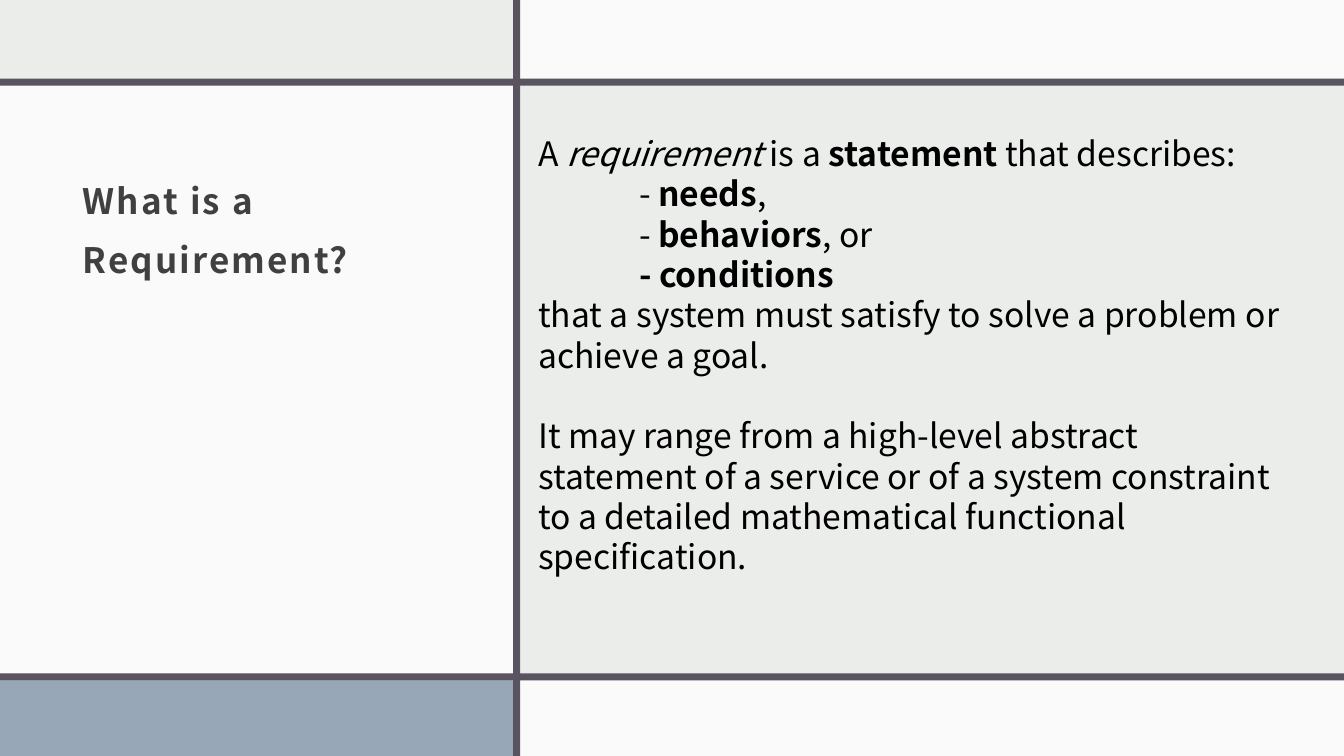
from dataclasses import dataclass

from pptx import Presentation
from pptx.dml.color import RGBColor
from pptx.enum.shapes import MSO_SHAPE
from pptx.enum.text import MSO_ANCHOR
from pptx.util import Inches, Pt

TITLE = "What is a Requirement?"

# Each paragraph: indent in inches, space before in points, runs of (text, style)
DEFINITION = [
    (0, 0, [("A ", ""), ("requirement", "italic"), (" is a ", ""),
            ("statement", "bold"), (" that describes:", "")]),
    (1, 0, [("- ", ""), ("needs", "bold"), (",", "")]),
    (1, 0, [("- ", ""), ("behaviors", "bold"), (", or", "")]),
    (1, 0, [("- conditions", "bold")]),
    (0, 0, [("that a system must satisfy to solve a problem or achieve a goal.", "")]),
    (0, 28.8, [("It may range from a high-level abstract statement of a service or of a "
                "system constraint to a detailed mathematical functional specification.", "")]),
]


@dataclass(frozen=True)
class Theme:
    font: str = "Noto Sans CJK JP"
    title_size: int = 25
    body_size: int = 24
    title_color: str = "404040"
    body_color: str = "000000"
    backdrop: str = "EBEDEB"
    pale: str = "FAFAFA"
    accent: str = "97A7B8"
    bar: str = "595460"


THEME = Theme()
WIDTH, HEIGHT = 13.33, 7.5
BAR = 0.07
COLUMN_BAR = 5.09
ROW_BARS = (0.78, 6.68)

# Panel colours, row by row; None lets the backdrop show
PANELS = [
    (None, THEME.pale),
    (THEME.pale, None),
    (THEME.accent, THEME.pale),
]


def spans(bars, total):
    """Return the (start, end) stretches left free between bars."""
    starts = [0] + [bar + BAR for bar in bars]
    return list(zip(starts, [*bars, total]))


def add_block(slide, left, top, width, height, color):
    block = slide.shapes.add_shape(
        MSO_SHAPE.RECTANGLE, Inches(left), Inches(top), Inches(width), Inches(height))
    block.shadow.inherit = False
    block.fill.solid()
    block.fill.fore_color.rgb = RGBColor.from_string(color)
    block.line.fill.background()


def add_text_frame(slide, left, top, width, height):
    frame = slide.shapes.add_textbox(
        Inches(left), Inches(top), Inches(width), Inches(height)).text_frame
    frame.word_wrap = True
    return frame


def style_font(font, size, color):
    font.name = THEME.font
    font.size = Pt(size)
    font.color.rgb = RGBColor.from_string(color)


def add_grid(slide):
    for (top, bottom), colors in zip(spans(ROW_BARS, HEIGHT), PANELS):
        for (left, right), color in zip(spans([COLUMN_BAR], WIDTH), colors):
            if color:
                add_block(slide, left, top, right - left, bottom - top, color)
    for top in ROW_BARS:
        add_block(slide, 0, top, WIDTH, BAR, THEME.bar)
    add_block(slide, COLUMN_BAR, 0, BAR, HEIGHT, THEME.bar)


def add_title(slide):
    frame = add_text_frame(slide, 0.7, 1.17, 3.95, 2.04)
    frame.vertical_anchor = MSO_ANCHOR.MIDDLE
    frame.margin_left = frame.margin_right = frame.margin_top = Inches(0.12)
    frame.margin_bottom = Inches(0.1)
    heading = frame.paragraphs[0]
    heading.text = TITLE
    heading.line_spacing = 1.4
    run = heading.runs[0]
    style_font(run.font, THEME.title_size, THEME.title_color)
    run.font.bold = True
    run.font._element.set("spc", "150")


def add_definition(slide):
    frame = add_text_frame(slide, 5.24, 1.27, 7.67, 4.54)
    for index, (indent, gap, pieces) in enumerate(DEFINITION):
        paragraph = frame.add_paragraph() if index else frame.paragraphs[0]
        properties = paragraph._p.get_or_add_pPr()
        properties.set("marL", str(Inches(indent)))
        properties.set("indent", "0")
        if gap:
            paragraph.space_before = Pt(gap)
        for words, style in pieces:
            run = paragraph.add_run()
            run.text = words
            style_font(run.font, THEME.body_size, THEME.body_color)
            run.font.bold = style == "bold"
            run.font.italic = style == "italic"


def main():
    deck = Presentation()
    deck.slide_width, deck.slide_height = Inches(WIDTH), Inches(HEIGHT)
    slide = deck.slides.add_slide(deck.slide_layouts[6])
    slide.background.fill.solid()
    slide.background.fill.fore_color.rgb = RGBColor.from_string(THEME.backdrop)
    add_grid(slide)
    add_title(slide)
    add_definition(slide)
    deck.save("out.pptx")


if __name__ == "__main__":
    main()
